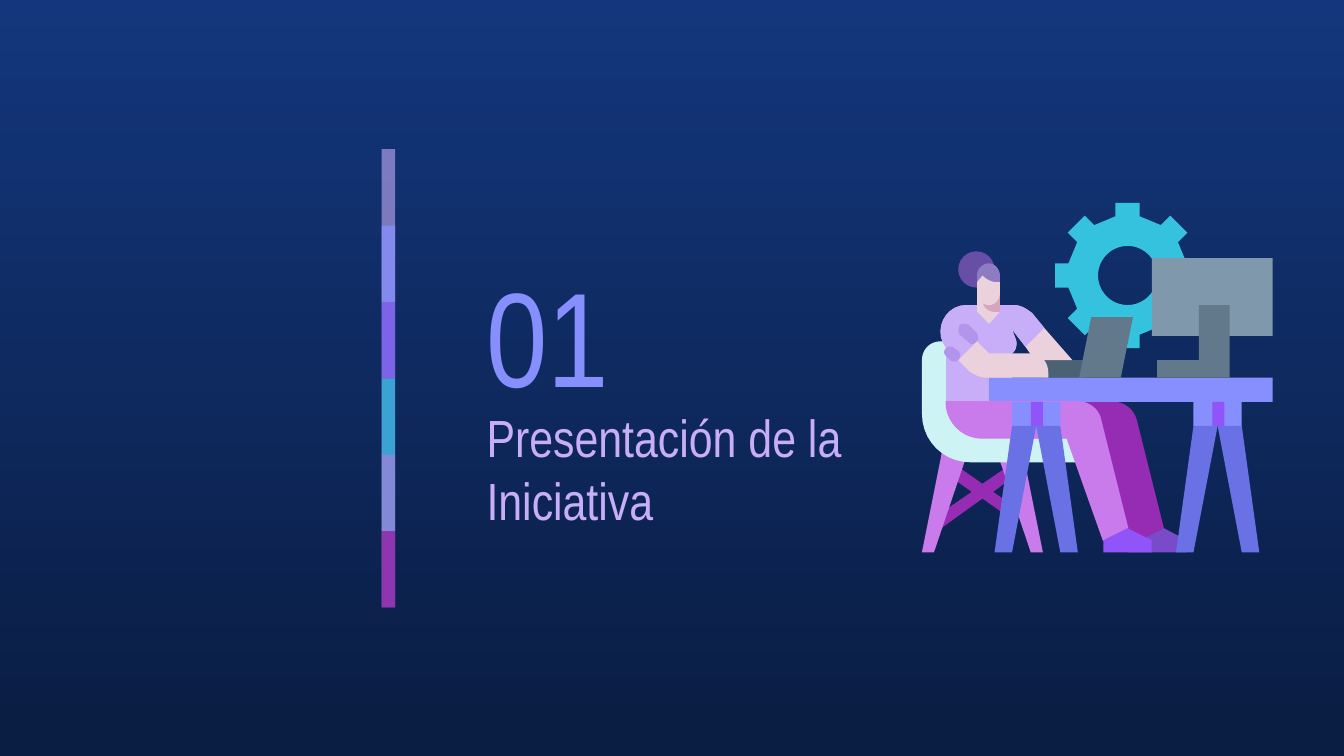
from math import cos, pi, radians, sin

from lxml.etree import SubElement
from pptx import Presentation
from pptx.dml.color import RGBColor as RGB
from pptx.enum.shapes import MSO_SHAPE as Preset
from pptx.enum.text import MSO_ANCHOR as Anchor, MSO_AUTO_SIZE as AutoSize, PP_ALIGN as Align
from pptx.oxml.ns import qn
from pptx.util import Inches, Pt

NIGHT_TOP, NIGHT_BOTTOM = RGB(0x13, 0x36, 0x7C), RGB(0x0A, 0x1D, 0x42)
LILAC, LILAC_SHADE = RGB(0xC8, 0xAE, 0xF8), RGB(0xB3, 0x94, 0xEB)
PERIWINKLE, INDIGO = RGB(0x87, 0x8F, 0xFF), RGB(0x69, 0x71, 0xE5)
VIOLET, VIOLET_DARK = RGB(0x91, 0x54, 0xF8), RGB(0x79, 0x4B, 0xC8)
CYAN, ICE = RGB(0x35, 0xC2, 0xDF), RGB(0xCE, 0xF3, 0xF5)
ORCHID, PURPLE = RGB(0xCA, 0x7B, 0xEB), RGB(0x97, 0x2C, 0xB4)
SKIN, SKIN_SHADE = RGB(0xEA, 0xD1, 0xDC), RGB(0xD5, 0xA6, 0xBD)
HAIR, HAIR_LIGHT = RGB(0x67, 0x4E, 0xA7), RGB(0x8E, 0x7C, 0xC3)
SLATE_DARK, SLATE, SLATE_LIGHT = RGB(0x4B, 0x62, 0x75), RGB(0x62, 0x79, 0x8C), RGB(0x80, 0x98, 0xAB)

# Content: text, box (left, top, width, height), size, colour
NUMBER = ("01", (3.52, 1.81, 1.75, 1.35), 72, PERIWINKLE)
TITLE = ("Presentación de la Iniciativa", (3.52, 3.15, 2.87, 0.67), 28, LILAC)

# Side band: colour and opacity in percent; each bar runs on under the next
BAND = [(LILAC, 59), (PERIWINKLE, 74), (VIOLET, 53), (CYAN, 76), (ORCHID, 56), (PURPLE, 74)]
BAND_LEFT, BAND_TOP, BAND_WIDTH, BAND_HEIGHT = 2.84, 1.11, 0.1, 3.41
BAND_STEP = BAND_HEIGHT / len(BAND)


def mirror(outline, axis):
    return [(2 * axis - x, y) for x, y in outline]


def turn(x, y, angle, centre):
    return (centre[0] + x * cos(angle) - y * sin(angle),
            centre[1] + x * sin(angle) + y * cos(angle))


# Gear: eight equal teeth around a round hole
GEAR_CENTRE, HOLE_RADIUS = (8.39, 2.05), 0.22
TOOTH = [(-0.09, -0.44), (-0.09, -0.54), (0.09, -0.54), (0.09, -0.44)]
GEAR = [turn(x, y, radians(45 * n), GEAR_CENTRE) for n in range(8) for x, y in TOOTH]
HOLE = [turn(HOLE_RADIUS, 0, -pi * n / 24, GEAR_CENTRE) for n in range(48)]

# Outlines: pairs are corners, six numbers are a curve (two handles and an end)
CHAIR_LEG = [(7.02, 3.31), (6.86, 4.11), (6.95, 4.11), (7.22, 3.31)]
CHAIR_BRACE = [(7.11, 3.46), (7.06, 3.54), (7.23, 3.66), (6.94, 3.86), (6.99, 3.94), (7.31, 3.71),
               (7.48, 3.83), (7.53, 3.76), (7.39, 3.66), (7.55, 3.54), (7.5, 3.47), (7.31, 3.6)]
SEAT = [(7, 2.54), (6.92, 2.54, 6.86, 2.6, 6.86, 2.68), (6.86, 3.08),
        (6.86, 3.28, 7.02, 3.44, 7.22, 3.44), (8.07, 3.44), (8.07, 3.22), (7.31, 3.22),
        (7.19, 3.22, 7.09, 3.12, 7.09, 2.99), (7.09, 2.54)]
FAR_LEG = [(7.31, 2.99), (7.31, 3.14, 7.43, 3.26, 7.58, 3.26), (8.21, 3.26), (8.39, 4.02),
           (8.48, 4.02), (8.66, 3.93), (8.46, 3.13), (8.44, 3.05, 8.37, 2.99, 8.29, 2.99)]
NEAR_LEG = [(7.04, 2.99), (7.04, 3.14, 7.16, 3.26, 7.31, 3.26), (7.94, 3.26), (8.21, 4.02),
            (8.39, 3.93), (8.19, 3.13), (8.18, 3.05, 8.1, 2.99, 8.02, 2.99)]
FAR_SHOE = [(8.66, 3.93), (8.48, 4.02), (8.39, 4.02), (8.39, 4.11), (8.83, 4.11), (8.83, 4.02)]
NEAR_SHOE = [(8.39, 3.93), (8.21, 4.02), (8.21, 4.11), (8.57, 4.11), (8.57, 4.02)]
SHOULDERS = [(7.19, 2.27), (7.03, 2.27, 6.94, 2.46, 7.04, 2.59), (7.04, 2.99), (7.53, 2.99),
             (7.53, 2.63), (7.56, 2.61, 7.57, 2.56, 7.56, 2.53), (7.53, 2.45), (7.63, 2.58)]
COLLAR = [(7.77, 2.44), (7.68, 2.33), (7.64, 2.3, 7.6, 2.27, 7.54, 2.27)]
BODY = SHOULDERS + [(7.7, 2.68), (7.98, 2.68)] + COLLAR
SHIRT = SHOULDERS + COLLAR
CUFF = [(7.07, 2.58), (7.06, 2.58, 7.05, 2.58, 7.04, 2.59), (7.02, 2.61, 7.02, 2.63, 7.04, 2.65),
        (7.07, 2.68), (7.08, 2.69, 7.09, 2.69, 7.1, 2.69), (7.11, 2.69, 7.12, 2.69, 7.13, 2.68),
        (7.15, 2.66, 7.15, 2.63, 7.13, 2.61), (7.1, 2.59), (7.1, 2.58, 7.08, 2.58, 7.07, 2.58)]
FOLD = [(7.18, 2.41), (7.17, 2.41, 7.15, 2.41, 7.14, 2.42), (7.13, 2.44, 7.13, 2.47, 7.14, 2.49),
        (7.2, 2.54), (7.21, 2.55, 7.22, 2.56, 7.23, 2.56), (7.25, 2.56, 7.26, 2.55, 7.27, 2.54),
        (7.28, 2.53, 7.28, 2.5, 7.27, 2.48), (7.21, 2.42), (7.2, 2.41, 7.19, 2.41, 7.18, 2.41)]
NECK = [(7.27, 2.14), (7.27, 2.32), (7.36, 2.41), (7.44, 2.32), (7.44, 2.14)]
NEAR_ARM = [(7.27, 2.54), (7.13, 2.68), (7.21, 2.76), (7.25, 2.79, 7.29, 2.81, 7.34, 2.81),
            (7.8, 2.81), (7.8, 2.77), (7.8, 2.69, 7.74, 2.63, 7.67, 2.63), (7.36, 2.63)]
LAPTOP = [(8.12, 2.36), (8.03, 2.81), (8.34, 2.81), (8.43, 2.36)]
STAND = [(8.92, 2.27), (8.92, 2.68), (8.61, 2.68), (8.61, 2.81), (9.15, 2.81), (9.15, 2.27)]
CHIN_SHADE = [(7.31, 2.14), (7.31, 2.23), (7.31, 2.28, 7.35, 2.32, 7.4, 2.32),
              (7.44, 2.32), (7.44, 2.14)]
FRINGE = [(7.36, 1.96), (7.31, 1.96, 7.27, 2, 7.27, 2.05), (7.27, 2.14), (7.44, 2.14),
          (7.44, 2.05), (7.44, 2, 7.4, 1.96, 7.36, 1.96)]
FACE = [(7.31, 2.05), (7.27, 2.1), (7.27, 2.18), (7.27, 2.23, 7.31, 2.27, 7.36, 2.27),
        (7.4, 2.27, 7.44, 2.23, 7.44, 2.18), (7.44, 2.1), (7.42, 2.1),
        (7.38, 2.1, 7.34, 2.08, 7.31, 2.05)]


def trestle(axis):
    leg = [(axis - 0.18, 3.17), (axis - 0.31, 4.11), (axis - 0.18, 4.11), (axis, 3.17)]
    return [(PERIWINKLE, Preset.RECTANGLE, (axis - 0.18, 2.99, 0.36, 0.18)),
            (VIOLET, Preset.RECTANGLE, (axis - 0.04, 2.99, 0.09, 0.18)),
            (INDIGO, leg), (INDIGO, mirror(leg, axis))]


# Scene from back to front: colour with outlines, or colour with preset and box
SCENE = [
    (CYAN, GEAR, HOLE),
    (SLATE_DARK, Preset.RECTANGLE, (7.76, 2.68, 0.31, 0.13)),
    (PURPLE, CHAIR_BRACE), (ORCHID, mirror(CHAIR_LEG, 7.31)), (ORCHID, CHAIR_LEG), (ICE, SEAT),
    (PURPLE, FAR_LEG), (VIOLET_DARK, FAR_SHOE), (SKIN, BODY), (LILAC, SHIRT),
    (PERIWINKLE, Preset.RECTANGLE, (7.36, 2.81, 2.11, 0.18)),
    (LILAC_SHADE, CUFF), (LILAC_SHADE, FOLD), (SKIN, NECK), (SKIN, NEAR_ARM), (SLATE, LAPTOP),
    (ORCHID, NEAR_LEG), (VIOLET, NEAR_SHOE),
    (SLATE_LIGHT, Preset.RECTANGLE, (8.57, 1.92, 0.9, 0.58)), (SLATE, STAND),
    *trestle(9.06), *trestle(7.71),
    (SKIN_SHADE, CHIN_SHADE), (HAIR, Preset.OVAL, (7.13, 1.87, 0.27, 0.27)),
    (HAIR_LIGHT, FRINGE), (SKIN, FACE),
]


def inches(lengths):
    return [Inches(length) for length in lengths]


def flatten(outline, steps=10):
    """Turn curves into short straight runs, measured in slide units."""
    points = []
    for node in outline:
        if len(node) == 2:
            points.append(node)
            continue
        (x0, y0), (x1, y1, x2, y2, x3, y3) = points[-1], node
        for n in range(1, steps + 1):
            t = n / steps
            a, b, c, d = (1 - t) ** 3, 3 * t * (1 - t) ** 2, 3 * t * t * (1 - t), t ** 3
            points.append((a * x0 + b * x1 + c * x2 + d * x3, a * y0 + b * y1 + c * y2 + d * y3))
    return [inches(point) for point in points]


def paint(part, colour):
    part.shadow.inherit = False
    part.fill.solid()
    part.fill.fore_color.rgb = colour
    part.line.fill.background()
    return part


def draw_outlines(shapes, outlines):
    first, *others = [flatten(outline) for outline in outlines]
    builder = shapes.build_freeform(*first[0])
    builder.add_line_segments(first[1:])
    for points in others:
        builder.move_to(*points[0])
        builder.add_line_segments(points[1:])
    return builder.convert_to_shape()


def write(holder, text, box, size, colour):
    for side, length in zip(("left", "top", "width", "height"), inches(box)):
        setattr(holder, side, length)
    frame = holder.text_frame
    frame.text = text
    margins = {f"margin_{side}": Inches(0.1) for side in ("left", "top", "right", "bottom")}
    layout = {"word_wrap": True, "auto_size": AutoSize.NONE, "vertical_anchor": Anchor.MIDDLE}
    for name, value in {**layout, **margins}.items():
        setattr(frame, name, value)
    paragraph = frame.paragraphs[0]
    paragraph.alignment, paragraph.line_spacing = Align.LEFT, 1.0
    font = paragraph.runs[0].font
    font.name, font.size, font.color.rgb = "Arial Narrow", Pt(size), colour


def main():
    deck = Presentation()
    deck.slide_width = Inches(10)
    deck.slide_height = deck.slide_width * 9 // 16
    slide = deck.slides.add_slide(deck.slide_layouts[5])

    # Background
    night = slide.background.fill
    night.gradient()
    night.gradient_angle = 270
    for stop, colour in zip(night.gradient_stops, (NIGHT_TOP, NIGHT_BOTTOM)):
        stop.color.rgb = colour

    # Side band
    for row, (colour, opacity) in enumerate(BAND):
        height = BAND_STEP * min(2, len(BAND) - row)
        box = (BAND_LEFT, BAND_TOP + row * BAND_STEP, BAND_WIDTH, height)
        bar = paint(slide.shapes.add_shape(Preset.RECTANGLE, *inches(box)), colour)
        tint = next(bar._element.spPr.iter(qn("a:srgbClr")))
        SubElement(tint, qn("a:alpha"), val=str(opacity * 1000))

    # Section number and title
    write(slide.shapes.add_textbox(*inches(NUMBER[1])), *NUMBER)
    write(slide.shapes.title, *TITLE)

    # Woman at her desk
    desk = slide.shapes.add_group_shape().shapes
    for colour, first, *rest in SCENE:
        if isinstance(first, list):
            part = draw_outlines(desk, [first, *rest])
        else:
            part = desk.add_shape(first, *inches(rest[0]))
        paint(part, colour)
        if first is NEAR_LEG:
            part.line.color.rgb, part.line.width = colour, Pt(0.75)

    deck.save("out.pptx")


if __name__ == "__main__":
    main()
